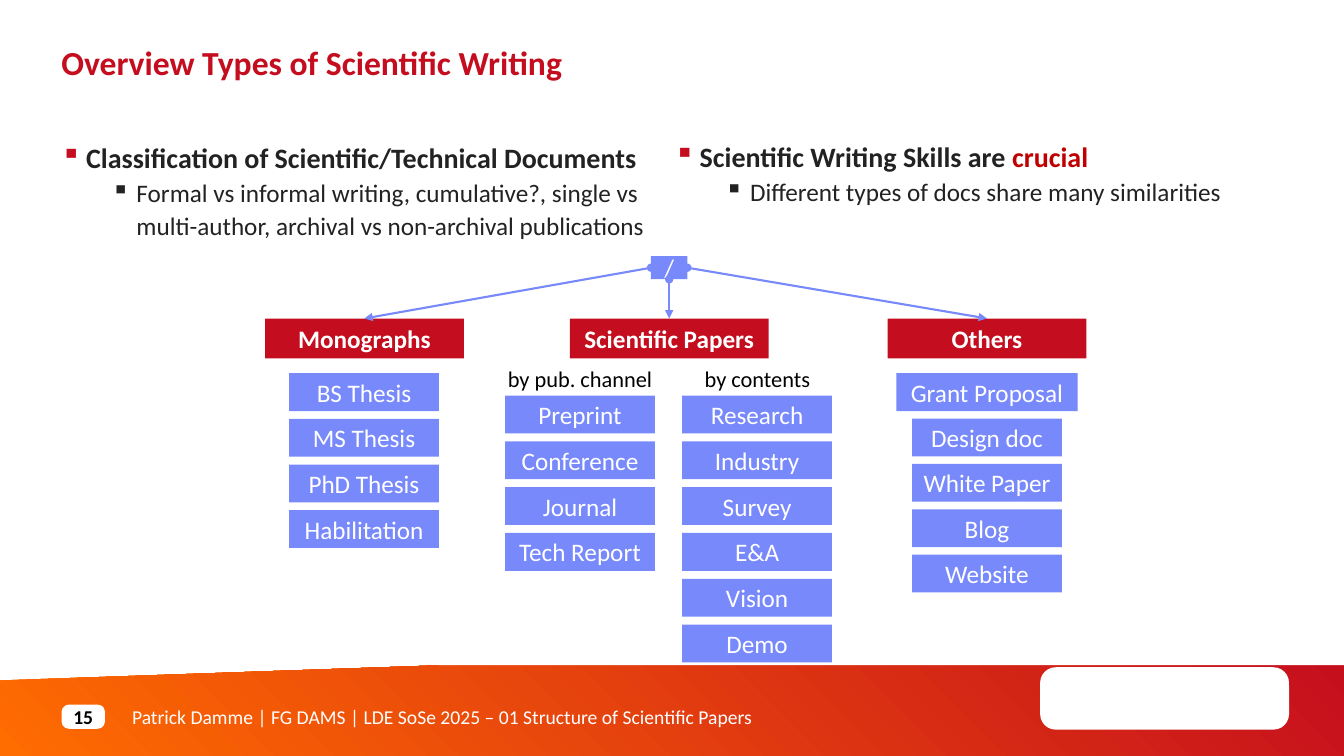
from dataclasses import dataclass

from lxml import etree
from pptx import Presentation
from pptx.dml.color import RGBColor
from pptx.enum.shapes import MSO_CONNECTOR, MSO_SHAPE
from pptx.enum.text import MSO_ANCHOR, PP_ALIGN
from pptx.oxml.ns import qn
from pptx.util import Pt

RECT = MSO_SHAPE.RECTANGLE
ROUNDED = MSO_SHAPE.ROUNDED_RECTANGLE
STRAIGHT = MSO_CONNECTOR.STRAIGHT
MIDDLE = MSO_ANCHOR.MIDDLE
CENTER = PP_ALIGN.CENTER


@dataclass(frozen=True)
class Theme:
    font: str = "Calibri"
    red: str = "C40D1E"
    crucial: str = "C00000"
    orange: str = "FF6C00"
    blue: str = "7889FB"
    ink: str = "222222"
    black: str = "000000"
    white: str = "FFFFFF"
    title_size: int = 24
    point_size: int = 20
    body_size: int = 18
    caption_size: int = 16
    footer_size: int = 14


theme = Theme()


def add_run(paragraph, text, size, color, bold=False):
    run = paragraph.add_run()
    run.text = text
    run.font.name = theme.font
    run.font.size = Pt(size)
    run.font.bold = bold
    run.font.color.rgb = RGBColor.from_string(color)


def add_box(preset, left, top, width, height, fill=None):
    """Add a plain filled shape, or a text box without margins if there is no fill."""
    place = Pt(left), Pt(top), Pt(width), Pt(height)
    if fill:
        box = slide.shapes.add_shape(preset, *place)
        box.shadow.inherit = False
        box.fill.solid()
        box.fill.fore_color.rgb = RGBColor.from_string(fill)
        box.line.fill.background()
        box.text_frame.vertical_anchor = MIDDLE
        box.text_frame.paragraphs[0].alignment = CENTER
    else:
        box = slide.shapes.add_textbox(*place)
        frame = box.text_frame
        frame.margin_left = frame.margin_right = frame.margin_top = frame.margin_bottom = 0
        frame.word_wrap = True
    return box


presentation = Presentation()
presentation.slide_width = Pt(960)
presentation.slide_height = Pt(540)
slide = presentation.slides.add_slide(presentation.slide_layouts[6])

# Footer band
outline = slide.shapes.build_freeform(0, 486, scale=Pt(1))
outline.add_line_segments([(960, 453), (960, 540), (0, 540)], close=True)
band = outline.convert_to_shape()
band.shadow.inherit = False
band.line.fill.background()
band.fill.gradient()
band.fill.gradient_angle = 45
for stop, position, color in zip(band.fill.gradient_stops, (0, 1), (theme.orange, theme.red)):
    stop.position = position
    stop.color.rgb = RGBColor.from_string(color)

footer = add_box(RECT, 94.3, 503.3, 600, 17.3)
footer.text_frame.vertical_anchor = MIDDLE
add_run(footer.text_frame.paragraphs[0],
        "Patrick Damme |\u00a0FG DAMS | LDE SoSe 2025 – 01 Structure of Scientific Papers",
        theme.footer_size, theme.white)

logo_panel = add_box(ROUNDED, 743, 476.6, 177.8, 44.6, theme.white)
logo_panel.adjustments[0] = 0.25

page_number = add_box(ROUNDED, 44, 503.3, 31, 17.3, theme.white)
page_number.adjustments[0] = 0.3
page_frame = page_number.text_frame
page_frame.margin_left = page_frame.margin_right = 0
page_frame.margin_top = page_frame.margin_bottom = 0
add_run(page_frame.paragraphs[0], "15", theme.footer_size, theme.black, True)

add_box(RECT, 313.2, 446.4, 646.8, 28.8, theme.white)

# Title and the two bullet lists
title = add_box(RECT, 43.8, 31, 654.5, 56).text_frame.paragraphs[0]
title.line_spacing = Pt(28)
add_run(title, "Overview Types of Scientific Writing", theme.title_size, theme.red, True)

bullet_lists = [
    (43.5, 100, [("Classification of Scientific/Technical Documents", theme.ink)],
     "Formal vs informal writing, cumulative?, single vs "
     "multi-author, archival vs non-archival publications"),
    (481.8, 99.4, [("Scientific Writing Skills are ", theme.ink), ("crucial", theme.crucial)],
     "Different types of docs share many similarities"),
]
for left, top, point, detail in bullet_lists:
    frame = add_box(RECT, left, top, 436.3, 74).text_frame
    levels = [
        (frame.paragraphs[0], 0, 18, theme.red, theme.point_size, True, point),
        (frame.add_paragraph(), 1, 54, theme.ink, theme.body_size, False, [(detail, theme.ink)]),
    ]
    for paragraph, level, indent, bullet_color, size, bold, runs in levels:
        paragraph.level = level
        paragraph.line_spacing = Pt(24)
        properties = paragraph._p.get_or_add_pPr()
        properties.set("marL", str(Pt(indent)))
        properties.set("indent", str(Pt(-18)))
        color_node = etree.SubElement(properties, qn("a:buClr"))
        etree.SubElement(color_node, qn("a:srgbClr")).set("val", bullet_color)
        etree.SubElement(properties, qn("a:buChar")).set("char", "▪")
        for text, color in runs:
            add_run(paragraph, text, size, color, bold)

# Classification tree: root, categories and their document types
root = add_box(RECT, 465, 183, 26, 16.5, theme.blue)
add_run(root.text_frame.paragraphs[0], "/", theme.body_size, theme.white)

LEFT_SITE, BOTTOM_SITE, RIGHT_SITE, TOP_SITE = 1, 2, 3, 0
categories = [
    ("Monographs", 260.3, LEFT_SITE),
    ("Scientific Papers", 478, BOTTOM_SITE),
    ("Others", 705, RIGHT_SITE),
]
for category, center, root_site in categories:
    header = add_box(RECT, center - 71, 227.5, 142, 28.5, theme.red)
    add_run(header.text_frame.paragraphs[0], category, theme.body_size, theme.white, True)

    branch = slide.shapes.add_connector(STRAIGHT, 0, 0, 0, 0)
    branch.begin_connect(root, root_site)
    branch.end_connect(header, TOP_SITE)
    branch.line.width = Pt(1.5)
    branch.line.color.rgb = RGBColor.from_string(theme.blue)
    line_node = branch.line._get_or_add_ln()
    etree.SubElement(line_node, qn("a:headEnd")).set("type", "oval")
    etree.SubElement(line_node, qn("a:tailEnd")).set("type", "triangle")
    etree.SubElement(branch._element.spPr, qn("a:effectLst"))

columns = [
    (260, 266.6, 32.6, ["BS Thesis", "MS Thesis", "PhD Thesis", "Habilitation"]),
    (414.3, 282.6, 32.7, ["Preprint", "Conference", "Journal", "Tech Report"]),
    (540.8, 282.6, 32.7, ["Research", "Industry", "Survey", "E&A", "Vision", "Demo"]),
    (705, 266.6, 32.4, ["Grant Proposal", "Design doc", "White Paper", "Blog", "Website"]),
]
for center, top, pitch, document_types in columns:
    for row, document_type in enumerate(document_types):
        width = 129.5 if document_type == "Grant Proposal" else 107
        entry = add_box(RECT, center - width / 2, top + row * pitch, width, 27, theme.blue)
        add_run(entry.text_frame.paragraphs[0], document_type, theme.body_size, theme.white)

for caption, center in [("by pub. channel", 414.3), ("by contents", 541)]:
    grouping = add_box(RECT, center - 60, 260.6, 120, 20)
    grouping.text_frame.word_wrap = False
    grouping.text_frame.paragraphs[0].alignment = CENTER
    add_run(grouping.text_frame.paragraphs[0], caption, theme.caption_size, theme.black)

presentation.save("out.pptx")
